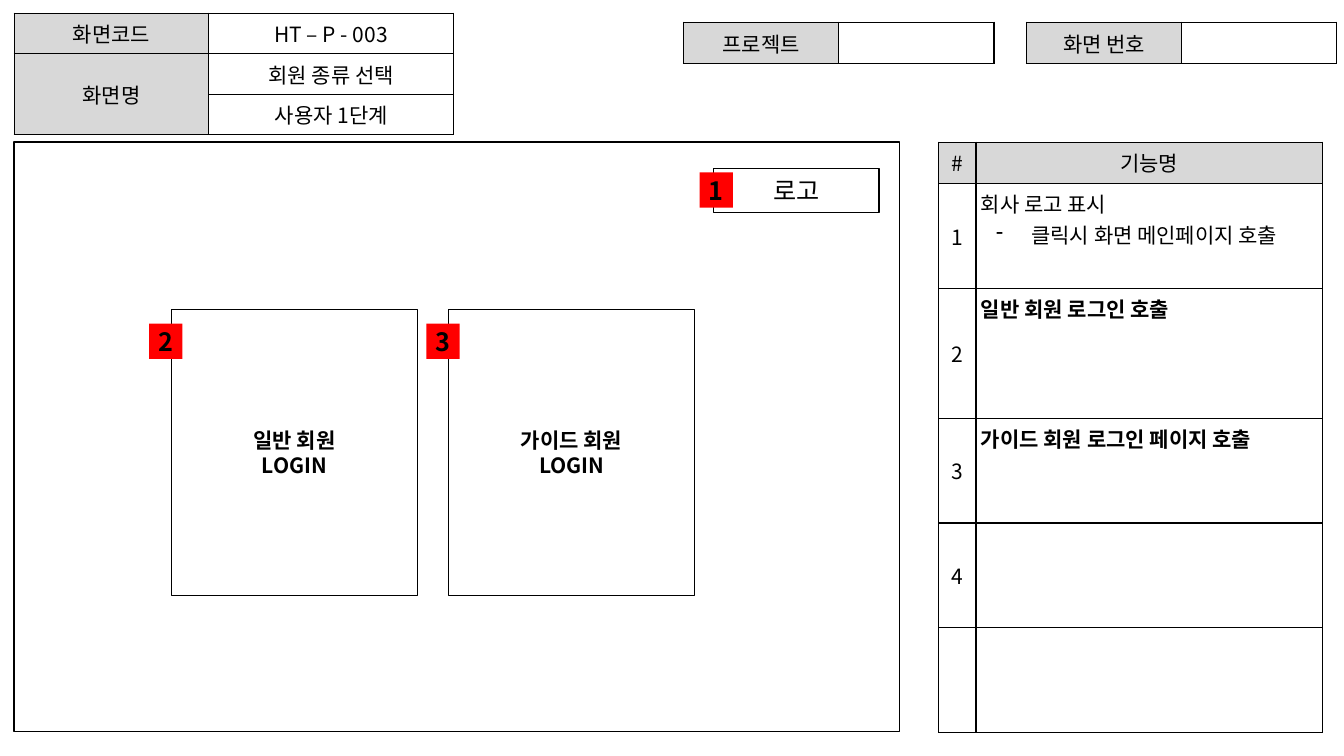
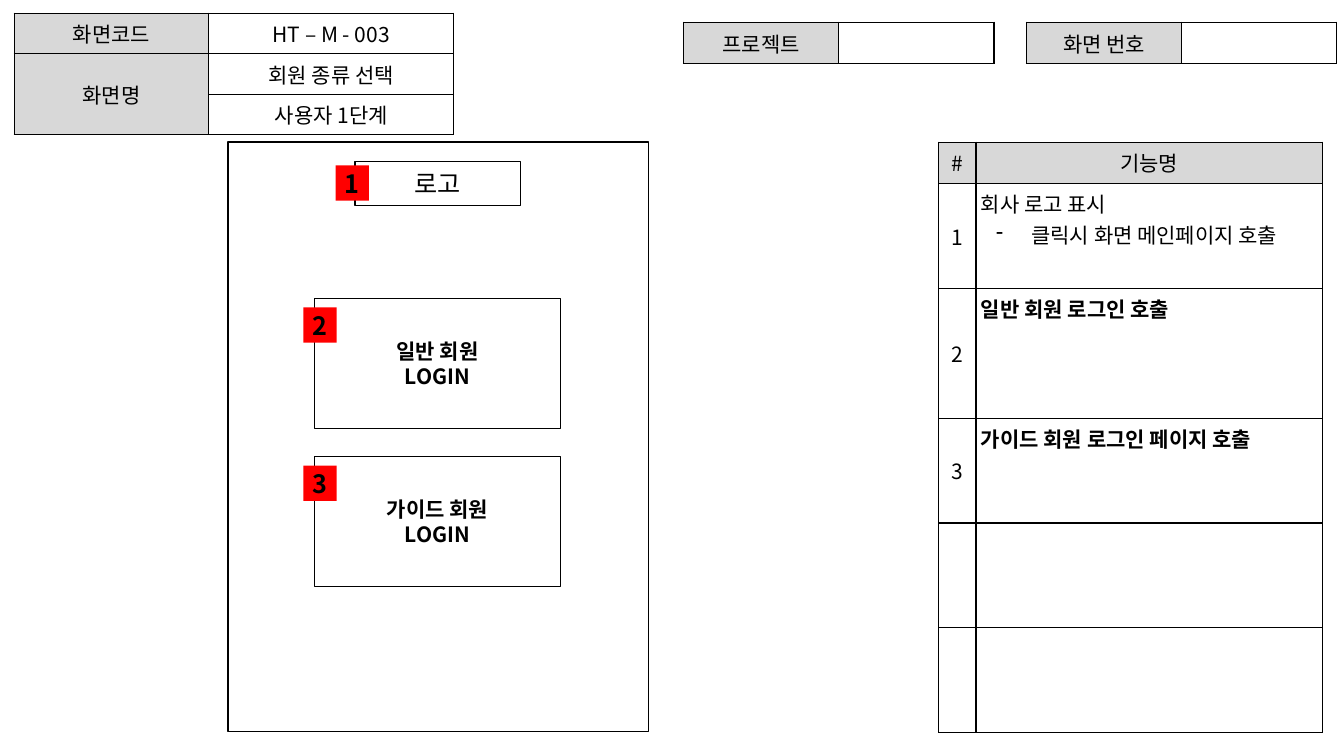
import dataclasses

import pptx
import pptx.dml.color
import pptx.enum.shapes
import pptx.enum.text
import pptx.oxml
import pptx.oxml.ns
import pptx.util

Inches, Pt = pptx.util.Inches, pptx.util.Pt
RGB = pptx.dml.color.RGBColor.from_string
ALIGN, ANCHOR = pptx.enum.text.PP_ALIGN, pptx.enum.text.MSO_ANCHOR


@dataclasses.dataclass(frozen=True)
class Theme:
    font: str = "Noto Sans CJK KR"
    ink: str = "000000"
    paper: str = "FFFFFF"
    header: str = "D8D8D8"
    badge: str = "FF0000"
    body: int = 15
    large: int = 18
    border: int = 1
    inset: float = 0.05


@dataclasses.dataclass(frozen=True)
class Screen:
    code: str
    frame: tuple       # left, top, width, height on the slide
    logo: tuple        # left, top inside the frame
    logo_badge: tuple  # offset from the logo box
    buttons: tuple     # left, top inside the frame, one for each button
    button_size: tuple
    button_badge: tuple
    numbered_rows: int


T = Theme()
MARGINS = {f"margin_{side}": Inches(T.inset) for side in ("left", "top", "right", "bottom")}
LOGO_SIZE = (1.64, 0.44)
BADGE_SIZE = (0.33, 0.35)
BUTTONS = ("일반 회원", "가이드 회원")
ROW_HEIGHTS = (0.41, 1.04, 1.29, 1.04, 1.04, 1.04)
# Each row: lines of (text, bold, bulleted)
FEATURES = (
    (("회사 로고 표시", False, False), ("클릭시 화면 메인페이지 호출", False, True)),
    (("일반 회원 로그인 호출", True, False),),
    (("가이드 회원 로그인 페이지 호출", True, False),),
    (),
    (),
)
SCREENS = (
    Screen("HT – P - 003", (0.14, 1.41, 8.78, 5.85), (6.94, 0.26), (-0.14, 0.04),
           ((1.56, 1.66), (4.31, 1.66)), (2.44, 2.84), (-0.22, 0.14), 4),
    Screen("HT – M - 003", (2.26, 1.41, 4.17, 5.85), (1.26, 0.19), (-0.19, 0.04),
           ((0.86, 1.55), (0.86, 3.12)), (2.44, 1.29), (-0.11, 0.09), 3),
)


def apply(obj, values):
    for name, value in values.items():
        setattr(obj, name, value)


def offset(box, delta):
    return box[0] + delta[0], box[1] + delta[1]


def write_lines(tf, lines, size=T.body, **paragraph_format):
    for i, (text, bold, bulleted) in enumerate(lines):
        p = tf.paragraphs[0] if i == 0 else tf.add_paragraph()
        if bulleted:
            pPr = p._p.get_or_add_pPr()
            pPr.set("marL", str(Inches(0.5)))
            pPr.set("indent", str(Inches(-0.35)))
            bullet = pptx.oxml.ns.qn("a:buChar")
            pPr.append(pPr.makeelement(bullet, {"char": "-"}))
        apply(p, paragraph_format)
        r = p.add_run()
        r.text = text
        apply(r.font, {"name": T.font, "size": Pt(size), "bold": bold})
        r.font.color.rgb = RGB(T.ink)
        rPr = r._r.get_or_add_rPr()
        rPr.append(rPr.makeelement(pptx.oxml.ns.qn("a:ea"), {"typeface": T.font}))


def add_box(slide, pos, size, fill=T.paper, outlined=True):
    sp = slide.shapes.add_shape(pptx.enum.shapes.MSO_SHAPE.RECTANGLE,
                                *map(Inches, (*pos, *size)))
    sp.shadow.inherit = False
    sp.fill.solid()
    sp.fill.fore_color.rgb = RGB(fill)
    if outlined:
        sp.line.color.rgb = RGB(T.ink)
        sp.line.width = Pt(T.border)
    else:
        sp.line.fill.background()
    apply(sp.text_frame, {**MARGINS, "word_wrap": True, "vertical_anchor": ANCHOR.MIDDLE})
    return sp


def add_badge(slide, number, pos):
    sp = add_box(slide, pos, BADGE_SIZE, T.badge, outlined=False)
    write_lines(sp.text_frame, [(str(number), True, False)], T.large, alignment=ALIGN.CENTER)


def format_cell(cell, fill):
    tcPr = cell._tc.get_or_add_tcPr()
    for edge in ("lnL", "lnR", "lnT", "lnB"):
        tcPr.append(pptx.oxml.parse_xml(
            f'<a:{edge} {pptx.oxml.ns.nsdecls("a")} w="{Pt(T.border)}"><a:solidFill>'
            f'<a:srgbClr val="{T.ink}"/></a:solidFill></a:{edge}>'))
    cell.fill.solid()
    cell.fill.fore_color.rgb = RGB(fill)
    apply(cell, {**MARGINS, "vertical_anchor": ANCHOR.MIDDLE})


def label(cell, text):
    if text:
        write_lines(cell.text_frame, [(text, False, False)], alignment=ALIGN.CENTER)


def add_grid(slide, pos, widths, heights, is_header):
    shape = slide.shapes.add_table(len(heights), len(widths),
                                   *map(Inches, (*pos, sum(widths), sum(heights))))
    table = shape.table
    apply(table, {"first_row": False, "horz_banding": False})
    for column, width in zip(table.columns, widths):
        column.width = Inches(width)
    for row, height in zip(table.rows, heights):
        row.height = Inches(height)
    for r in range(len(heights)):
        for c in range(len(widths)):
            format_cell(table.cell(r, c), T.header if is_header(r, c) else T.paper)
    return table


def add_screen_info(slide, pos, code):
    table = add_grid(slide, pos, (1.93, 2.43), (0.4,) * 3, lambda r, c: c == 0)
    table.cell(1, 0).merge(table.cell(2, 0))
    for r, c, text in ((0, 0, "화면코드"), (1, 0, "화면명"), (0, 1, code),
                       (1, 1, "회원 종류 선택"), (2, 1, "사용자 1단계")):
        label(table.cell(r, c), text)


def add_field(slide, pos, name):
    table = add_grid(slide, pos, (1.54, 1.54), (0.41,), lambda r, c: c == 0)
    label(table.cell(0, 0), name)


def add_feature_table(slide, pos, numbered_rows):
    table = add_grid(slide, pos, (0.37, 3.44), ROW_HEIGHTS, lambda r, c: r == 0)
    label(table.cell(0, 0), "#")
    label(table.cell(0, 1), "기능명")
    for number, lines in enumerate(FEATURES, 1):
        if number <= numbered_rows:
            label(table.cell(number, 0), str(number))
        cell = table.cell(number, 1)
        cell.vertical_anchor = ANCHOR.TOP
        write_lines(cell.text_frame, lines)


def add_wireframe(slide, screen):
    frame = screen.frame
    add_box(slide, frame[:2], frame[2:])

    # Logo
    logo = offset(frame, screen.logo)
    sp = add_box(slide, logo, LOGO_SIZE)
    write_lines(sp.text_frame, [("로고", False, False)], T.large, alignment=ALIGN.CENTER)
    add_badge(slide, 1, offset(logo, screen.logo_badge))

    # Login buttons
    for number, (name, place) in enumerate(zip(BUTTONS, screen.buttons), 2):
        pos = offset(frame, place)
        sp = add_box(slide, pos, screen.button_size)
        write_lines(sp.text_frame, [(name, True, False), ("LOGIN", True, False)],
                    alignment=ALIGN.CENTER, line_spacing=Pt(18))
        add_badge(slide, number, offset(pos, screen.button_badge))


def add_screen_slide(prs, screen):
    slide = prs.slides.add_slide(prs.slide_layouts[6])
    # Header tables
    add_screen_info(slide, (0.14, 0.13), screen.code)
    add_field(slide, (6.78, 0.22), "프로젝트")
    add_field(slide, (10.18, 0.22), "화면 번호")
    # Screen sketch and its feature list
    add_wireframe(slide, screen)
    add_feature_table(slide, (9.31, 1.41), screen.numbered_rows)


def main():
    prs = pptx.Presentation()
    apply(prs, {"slide_width": Inches(13.33), "slide_height": Inches(7.5)})
    for screen in SCREENS:
        add_screen_slide(prs, screen)
    prs.save("out.pptx")


if __name__ == "__main__":
    main()
